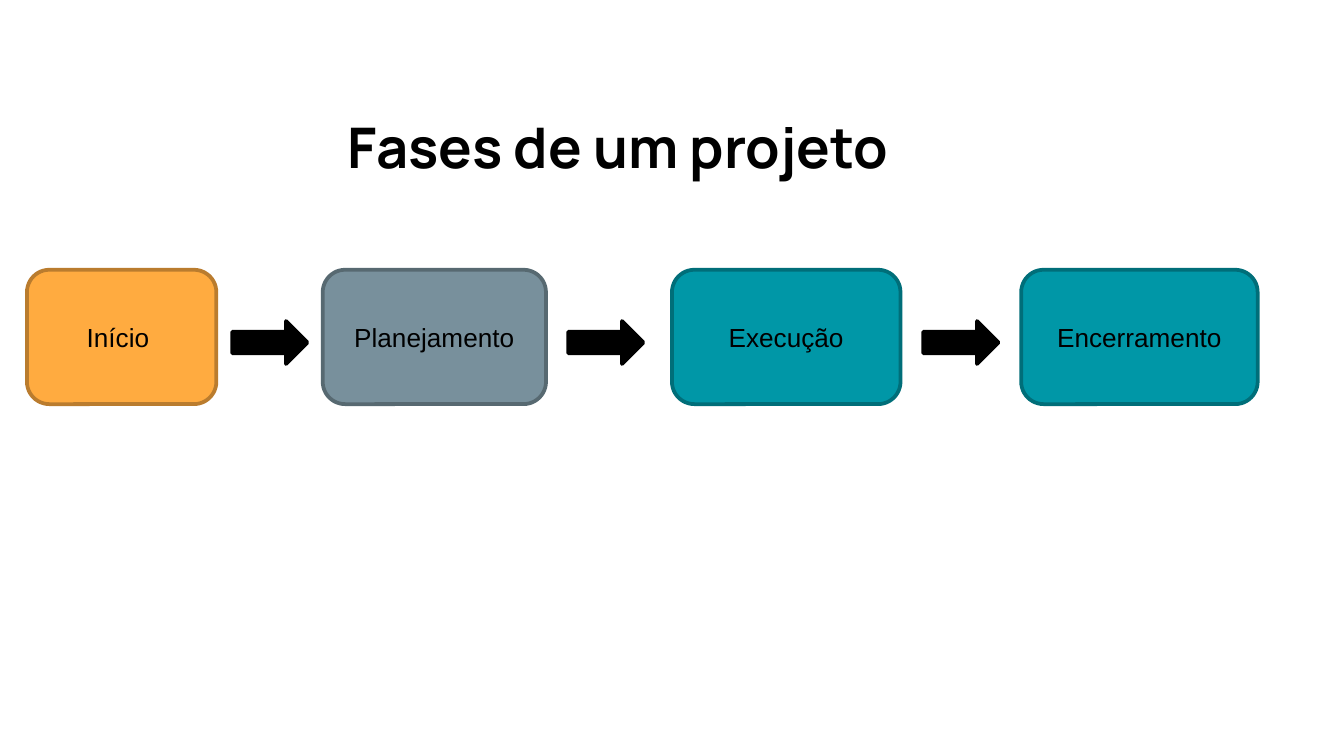
import pptx
import pptx.dml.color
import pptx.enum.shapes
import pptx.enum.text
import pptx.util

Cm = pptx.util.Cm
Pt = pptx.util.Pt
RGBColor = pptx.dml.color.RGBColor
Shape = pptx.enum.shapes.MSO_SHAPE
Align = pptx.enum.text.PP_ALIGN
Anchor = pptx.enum.text.MSO_ANCHOR

BLACK = RGBColor(0x00, 0x00, 0x00)
ORANGE = RGBColor(0xFF, 0xAB, 0x40)
DARK_ORANGE = RGBColor(0xBA, 0x7C, 0x2E)
GREY = RGBColor(0x78, 0x90, 0x9C)
DARK_GREY = RGBColor(0x57, 0x69, 0x71)
TEAL = RGBColor(0x00, 0x97, 0xA7)
DARK_TEAL = RGBColor(0x00, 0x6E, 0x79)


class PhaseSlide:
    title_font = "Manrope"
    body_font = "Arial"
    line_width = Pt(2)

    def __init__(self, deck):
        self.slide = deck.slides.add_slide(deck.slide_layouts[5])

    def label(self, shape, text, font, size, bold=False):
        frame = shape.text_frame
        frame.text = text
        frame.word_wrap = True
        para = frame.paragraphs[0]
        para.alignment = Align.CENTER
        for span in para.runs:
            span.font.name = font
            span.font.size = Pt(size)
            span.font.bold = bold
            span.font.color.rgb = BLACK
        return frame

    def title(self, text, left, top, width, height):
        box = self.slide.shapes.title
        box.left, box.top, box.width, box.height = map(Cm, (left, top, width, height))
        frame = self.label(box, text, self.title_font, 30, bold=True)
        frame.auto_size = pptx.enum.text.MSO_AUTO_SIZE.NONE
        # The heading sits low in its frame
        frame.vertical_anchor = Anchor.TOP
        frame.margin_top = Cm(1.14)

    def shape(self, kind, left, top, width, height, fill, line):
        shape = self.slide.shapes.add_shape(kind, *map(Cm, (left, top, width, height)))
        shape.shadow.inherit = False
        shape.fill.solid()
        shape.fill.fore_color.rgb = fill
        shape.line.color.rgb = line
        shape.line.width = self.line_width
        return shape

    def phase(self, text, left, width, fill, line):
        box = self.shape(Shape.ROUNDED_RECTANGLE, left, 5.1, width, 2.54, fill, line)
        frame = self.label(box, text, self.body_font, 14)
        frame.vertical_anchor = Anchor.MIDDLE

    def arrow(self, left):
        self.shape(Shape.RIGHT_ARROW, left, 6.07, 1.42, 0.81, BLACK, BLACK)


deck = pptx.Presentation()
deck.slide_width, deck.slide_height = Cm(25.4), Cm(14.29)
page = PhaseSlide(deck)

# Title
page.title("Fases de um projeto", 2.08, 0.99, 19.2, 2.29)

# Project phases
for phase in (
    ("Início ", 0.51, 3.58, ORANGE, DARK_ORANGE),
    ("Planejamento", 6.1, 4.22, GREY, DARK_GREY),
    ("Execução", 12.7, 4.32, TEAL, DARK_TEAL),
    ("Encerramento", 19.3, 4.47, TEAL, DARK_TEAL),
):
    page.phase(*phase)

# Arrows between phases
for arrow_left in (4.39, 10.74, 17.45):
    page.arrow(arrow_left)

deck.save("out.pptx")
